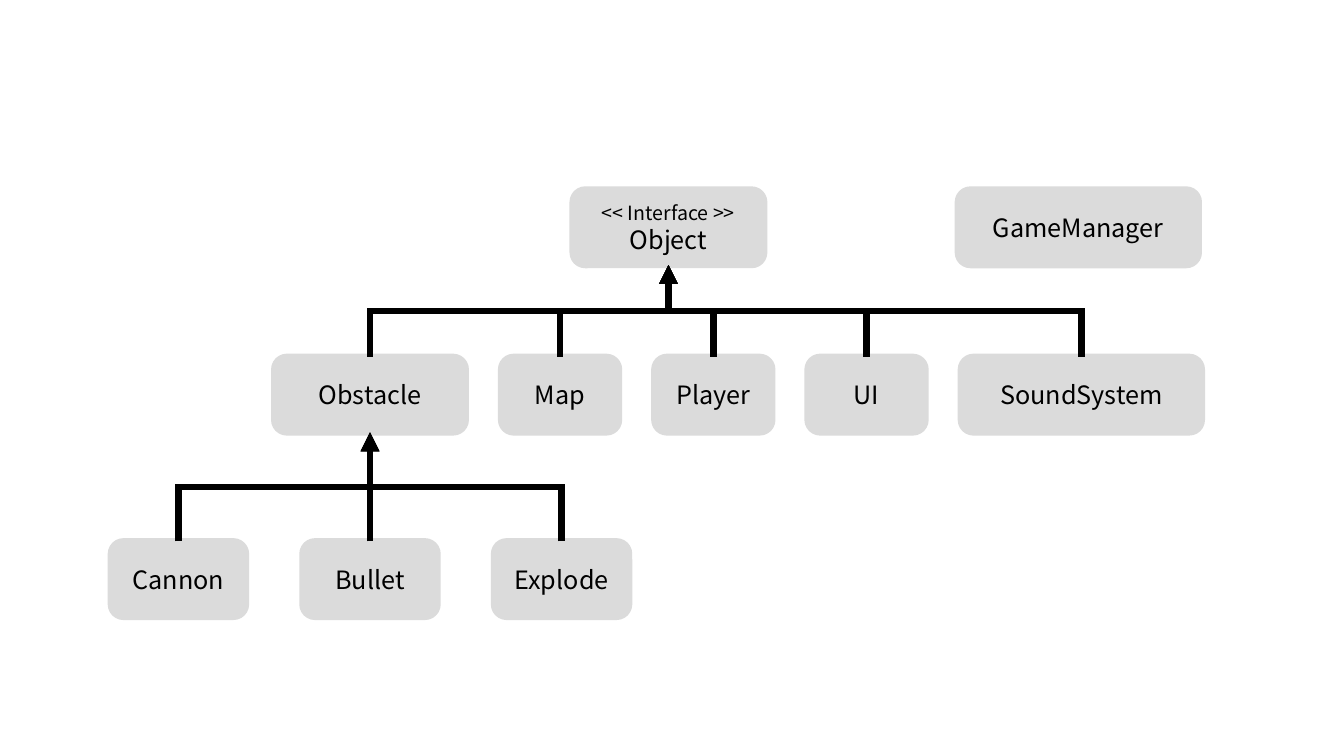
from lxml.etree import SubElement
from pptx import Presentation
from pptx.dml.color import RGBColor
from pptx.enum.shapes import MSO_CONNECTOR, MSO_SHAPE
from pptx.enum.text import MSO_ANCHOR, PP_ALIGN
from pptx.oxml.ns import qn
from pptx.util import Inches, Pt

FONT = "Noto Sans CJK KR"
GREY, BLACK = "DBDBDB", "000000"
LINE_WIDTH = 4.5
BOX_HEIGHT = 0.75
TOP_SITE, BOTTOM_SITE = 0, 2
WIDE, LARGE, SMALL, LEAF = 2.39, 1.9, 1.17, 1.34

ROWS = [
    {"left": 5.68, "top": 1.88, "gap": 1.92,
     "boxes": [("Object", LARGE), ("GameManager", WIDE)]},
    {"left": 2.72, "top": 3.54, "gap": 0.35,
     "boxes": [("Obstacle", LARGE), ("Map", SMALL), ("Player", SMALL),
               ("UI", SMALL), ("SoundSystem", WIDE)]},
    {"left": 1.1, "top": 5.37, "gap": 0.56,
     "boxes": [("Cannon", LEAF), ("Bullet", LEAF), ("Explode", LEAF)]},
]
STEREOTYPES = {"Object": "<< Interface >>"}
CHILDREN = {
    "Object": ["Obstacle", "Map", "Player", "UI", "SoundSystem"],
    "Obstacle": ["Cannon", "Bullet", "Explode"],
}


def rgb(color):
    return RGBColor.from_string(color)


def set_all(obj, values):
    for name, value in values.items():
        setattr(obj, name, value)


def set_line(sp, color):
    sp.line.color.rgb = rgb(color)
    sp.line.width = Pt(LINE_WIDTH)


def add_line_of_text(p, text, size):
    p.alignment = PP_ALIGN.CENTER
    r = p.add_run()
    r.text = text
    set_all(r.font, {"name": FONT, "size": Pt(size)})
    r.font.color.rgb = rgb(BLACK)


def add_class_box(s, name, left, top, width):
    sp = s.shapes.add_shape(MSO_SHAPE.FLOWCHART_ALTERNATE_PROCESS, Inches(left),
                            Inches(top), Inches(width), Inches(BOX_HEIGHT))
    sp.shadow.inherit = False
    sp.fill.solid()
    sp.fill.fore_color.rgb = rgb(GREY)
    set_line(sp, GREY)
    tf = sp.text_frame
    set_all(tf, {"word_wrap": True, "vertical_anchor": MSO_ANCHOR.MIDDLE})
    p = tf.paragraphs[0]
    if name in STEREOTYPES:
        add_line_of_text(p, STEREOTYPES[name], 14)
        p = tf.add_paragraph()
    add_line_of_text(p, name, 18)
    return sp


def add_row(s, row):
    boxes = {}
    left = row["left"]
    for name, width in row["boxes"]:
        boxes[name] = add_class_box(s, name, left, row["top"], width)
        left = round(left + width + row["gap"], 2)
    return boxes


def add_inheritance(s, child, parent):
    x1, y1 = child.left + child.width // 2, child.top
    x2, y2 = parent.left + parent.width // 2, parent.top + parent.height
    sp = s.shapes.add_connector(MSO_CONNECTOR.ELBOW, x1, y1, x2, y2)
    sp.begin_connect(child, TOP_SITE)
    sp.end_connect(parent, BOTTOM_SITE)
    width, height = y1 - y2, abs(x1 - x2)
    set_all(sp, {"left": (x1 + x2 - width) // 2, "top": (y1 + y2 - height) // 2,
                 "width": width, "height": height})
    from_left = x1 < x2
    xfrm = sp._element.spPr.find(qn("a:xfrm"))
    turn = {"rot": 90 * 60000 if from_left else 270 * 60000,
            "flipH": int(from_left), "flipV": 1}
    for name, value in turn.items():
        xfrm.set(name, str(value))
    set_line(sp, BLACK)
    ln = sp.line._get_or_add_ln()
    SubElement(ln, qn("a:miter"), lim="800000")
    SubElement(ln, qn("a:tailEnd"), type="triangle")
    SubElement(sp._element.spPr, qn("a:effectLst"))


def main():
    prs = Presentation()
    set_all(prs, {"slide_width": Inches(13.33), "slide_height": Inches(7.5)})
    s = prs.slides.add_slide(prs.slide_layouts[6])
    boxes = {}
    for row in ROWS:
        boxes.update(add_row(s, row))
    for parent, children in CHILDREN.items():
        for child in children:
            add_inheritance(s, boxes[child], boxes[parent])
    prs.save("out.pptx")


main()
